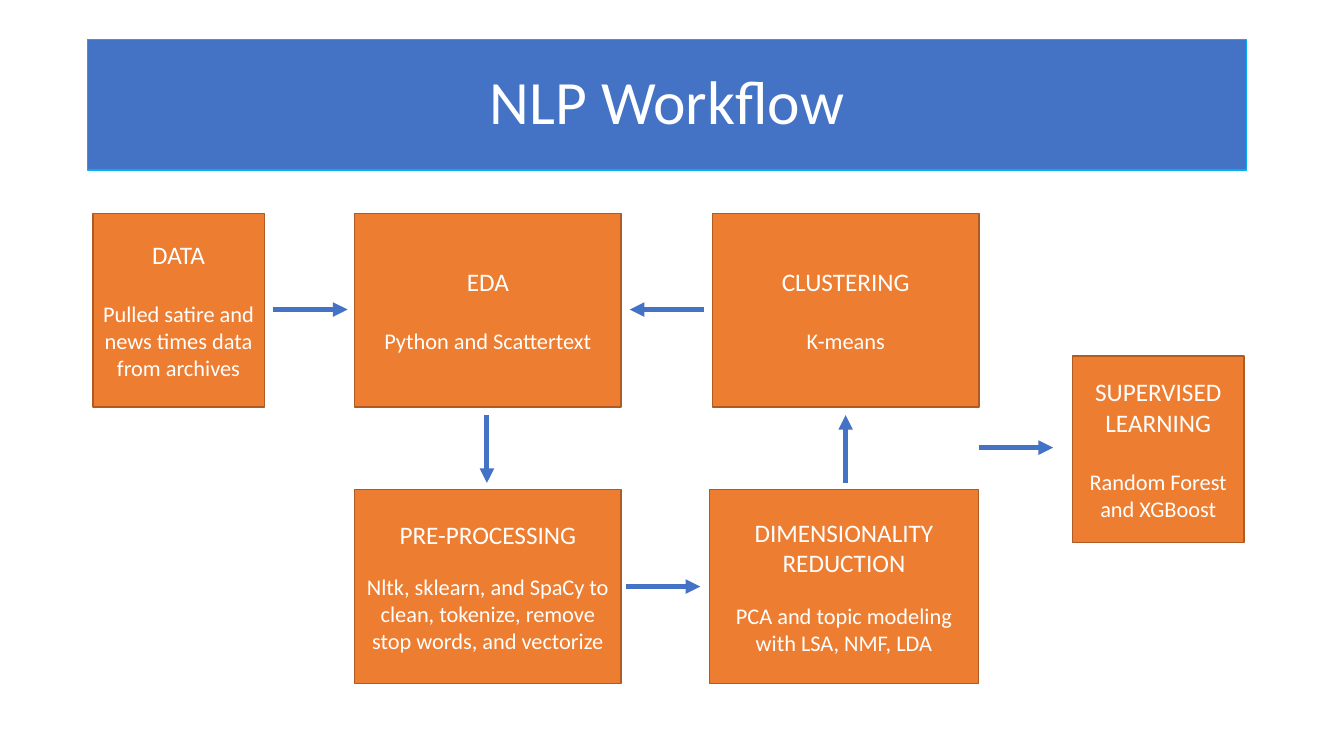
from dataclasses import dataclass

from lxml.etree import SubElement
from pptx import Presentation
from pptx.dml.color import RGBColor
from pptx.enum.shapes import MSO_CONNECTOR as Connector, MSO_SHAPE as Shape
from pptx.enum.text import MSO_ANCHOR as Anchor, PP_ALIGN as Align
from pptx.oxml.ns import qn
from pptx.shapes.autoshape import Shape as AutoShape
from pptx.slide import Slide
from pptx.text.text import _Paragraph as Paragraph
from pptx.util import Cm, Pt

FONT = "Calibri"
WHITE = RGBColor(0xFF, 0xFF, 0xFF)
BLUE = RGBColor(0x44, 0x72, 0xC4)
SKY = RGBColor(0x00, 0xB0, 0xF0)
ORANGE = RGBColor(0xED, 0x7D, 0x31)
BROWN = RGBColor(0xAF, 0x5C, 0x24)

# Grid, in centimetres
UPPER, LOWER = 5.38, 12.34
DATA_LEFT, EDA_LEFT, CLUSTER_LEFT, LEARNING_LEFT = 2.34, 8.94, 17.96, 27.03
NARROW, WIDE = 4.32, 6.71
BOX_HEIGHT = 4.88
ARROW_LENGTH = 1.88
UPPER_ARROW, LOWER_ARROW, LEARNING_ARROW = 7.8, 14.78, 11.28
GAP_TOP, GAP_BOTTOM = 10.46, 12.17
EDA_CENTER, CLUSTER_CENTER = 12.27, 21.31


@dataclass(frozen=True)
class Step:
    heading: str
    detail: str
    left: float
    top: float
    width: float
    height: float = BOX_HEIGHT
    gap: float = 22  # points between heading and detail


@dataclass(frozen=True)
class Arrow:
    start_x: float
    start_y: float
    end_x: float
    end_y: float


STEPS = [
    Step("DATA", "Pulled satire and news times data from archives",
         DATA_LEFT, UPPER, NARROW),
    Step("EDA", "Python and Scattertext", EDA_LEFT, UPPER, WIDE),
    Step("PRE-PROCESSING",
         "Nltk, sklearn, and SpaCy to clean, tokenize, remove stop words, and vectorize",
         EDA_LEFT, LOWER, WIDE, gap=17),
    Step("DIMENSIONALITY REDUCTION", "PCA and topic modeling with LSA, NMF, LDA",
         17.88, LOWER, 6.78, gap=17),
    Step("CLUSTERING", "K-means", CLUSTER_LEFT, UPPER, WIDE),
    Step("SUPERVISED LEARNING", "Random Forest and XGBoost",
         LEARNING_LEFT, 8.97, NARROW, height=4.7),
]

ARROWS = [
    Arrow(6.88, UPPER_ARROW, 6.88 + ARROW_LENGTH, UPPER_ARROW),
    Arrow(15.77, LOWER_ARROW, 15.77 + ARROW_LENGTH, LOWER_ARROW),
    Arrow(EDA_CENTER, GAP_TOP, EDA_CENTER, GAP_BOTTOM),
    Arrow(17.75, UPPER_ARROW, 17.75 - ARROW_LENGTH, UPPER_ARROW),
    Arrow(CLUSTER_CENTER, GAP_BOTTOM, CLUSTER_CENTER, GAP_TOP),
    Arrow(24.66, LEARNING_ARROW, 24.66 + ARROW_LENGTH, LEARNING_ARROW),
]


def add_box(slide: Slide, left: float, top: float, width: float, height: float,
            fill: RGBColor, outline: RGBColor) -> AutoShape:
    shape = slide.shapes.add_shape(
        Shape.RECTANGLE, Cm(left), Cm(top), Cm(width), Cm(height))
    shape.shadow.inherit = False
    shape.fill.solid()
    shape.fill.fore_color.rgb = fill
    shape.line.color.rgb = outline
    shape.line.width = Pt(1)
    shape.text_frame.word_wrap = True
    shape.text_frame.vertical_anchor = Anchor.MIDDLE
    return shape


def format_paragraph(paragraph: Paragraph, size: float) -> None:
    paragraph.alignment = Align.CENTER
    for run in paragraph.runs:
        run.font.name = FONT
        run.font.size = Pt(size)
        run.font.color.rgb = WHITE


def add_title(slide: Slide, text: str) -> None:
    banner = add_box(slide, 2.21, 0.99, 29.21, 3.3, BLUE, SKY)
    banner.text_frame.text = text
    paragraph = banner.text_frame.paragraphs[0]
    paragraph.line_spacing = 0.9
    format_paragraph(paragraph, 44)


def add_step(slide: Slide, step: Step) -> None:
    box = add_box(slide, step.left, step.top, step.width, step.height, ORANGE, BROWN)
    box.text_frame.text = f"{step.heading}\n{step.detail}"
    heading, detail = box.text_frame.paragraphs
    format_paragraph(heading, 18)
    format_paragraph(detail, 16)
    heading.space_after = Pt(step.gap)


def add_arrow(slide: Slide, arrow: Arrow) -> None:
    connector = slide.shapes.add_connector(
        Connector.STRAIGHT, Cm(arrow.start_x), Cm(arrow.start_y),
        Cm(arrow.end_x), Cm(arrow.end_y))
    connector.line.color.rgb = BLUE
    connector.line.width = Pt(3.5)
    # Arrowhead and no shadow
    SubElement(connector.line._get_or_add_ln(), qn("a:tailEnd"), type="triangle")
    SubElement(connector._element.spPr, qn("a:effectLst"))


def main() -> None:
    presentation = Presentation()
    presentation.slide_width, presentation.slide_height = Cm(33.87), Cm(19.05)
    slide = presentation.slides.add_slide(presentation.slide_layouts[6])

    add_title(slide, "NLP Workflow")
    for step in STEPS:
        add_step(slide, step)
    for arrow in ARROWS:
        add_arrow(slide, arrow)

    presentation.save("out.pptx")


if __name__ == "__main__":
    main()
